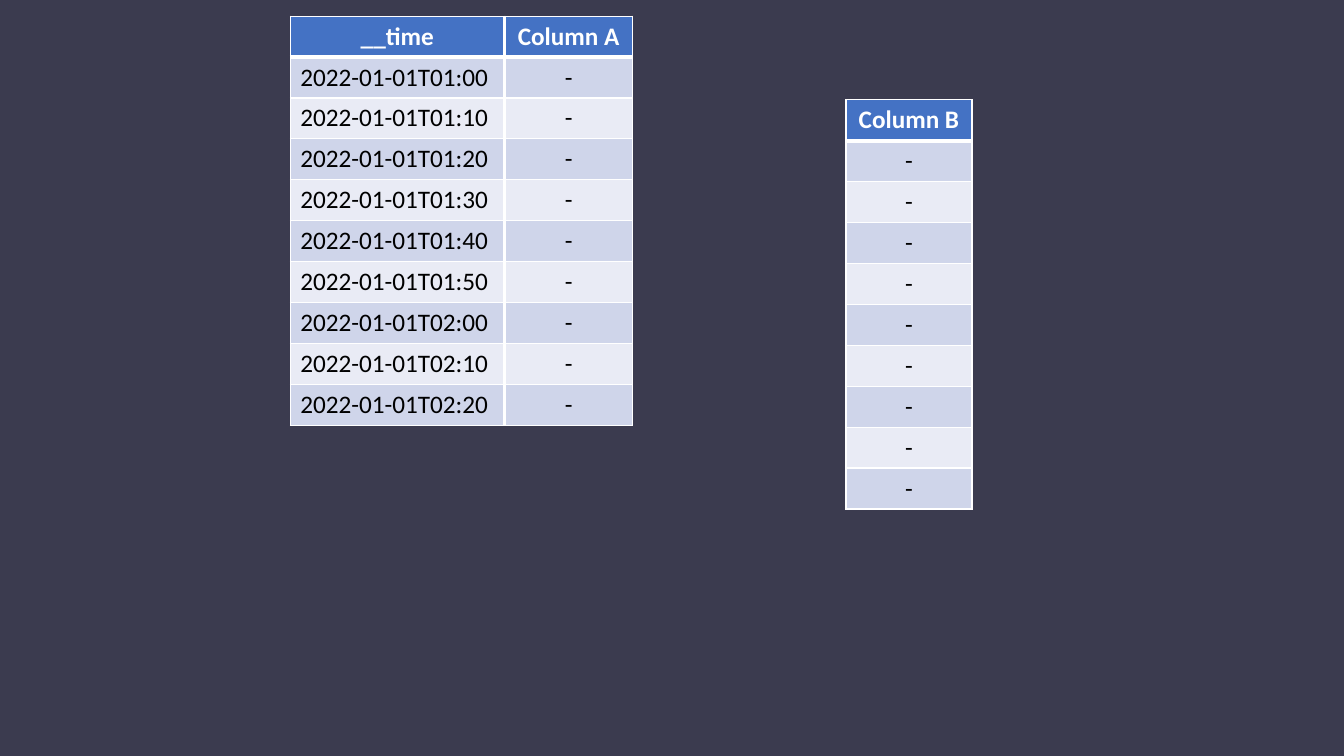
from dataclasses import dataclass

from lxml.etree import SubElement
from pptx import Presentation
from pptx.dml.color import RGBColor as RGB
from pptx.enum.shapes import MSO_SHAPE as Preset
from pptx.enum.text import PP_ALIGN as Align
from pptx.oxml.ns import qn
from pptx.slide import Slide
from pptx.table import _Cell as Cell
from pptx.util import Inches, Pt


@dataclass(frozen=True)
class Theme:
    backdrop: RGB = RGB.from_string("3B3B4F")
    header: RGB = RGB.from_string("4472C4")
    odd_row: RGB = RGB.from_string("CFD5EA")
    even_row: RGB = RGB.from_string("E9EBF5")
    header_text: RGB = RGB.from_string("FFFFFF")
    body_text: RGB = RGB.from_string("000000")
    border: str = "FFFFFF"
    thin: Pt = Pt(1)
    thick: Pt = Pt(3)
    font: str = "Calibri"
    size: Pt = Pt(18)


@dataclass(frozen=True)
class DataColumn:
    heading: str
    values: list[str]
    left: float
    top: float
    width: float
    body_align: Align = Align.CENTER


THEME = Theme()
COLUMN_HEIGHT = 4.06
MINUTES = range(60, 150, 10)
TIMES = [f"2022-01-01T{m // 60:02}:{m % 60:02}" for m in MINUTES]
BLANKS = ["-"] * len(TIMES)
COLUMNS = [
    DataColumn("__time", TIMES, 2.88, 0.16, 2.12, Align.LEFT),
    DataColumn("Column A", BLANKS, 5.01, 0.16, 1.26),
    DataColumn("Column B", BLANKS, 8.39, 0.99, 1.25),
]


def draw_backdrop(slide: Slide, width: int, height: int) -> None:
    backdrop = slide.shapes.add_shape(Preset.RECTANGLE, 0, 0, width, height)
    backdrop.shadow.inherit = False
    backdrop.fill.solid()
    backdrop.fill.fore_color.rgb = THEME.backdrop
    backdrop.line.fill.background()


def set_borders(cell: Cell, top: int, bottom: int) -> None:
    """Border all four sides; must run before the cell gets its fill."""
    properties = cell._tc.get_or_add_tcPr()
    widths = {"L": THEME.thin, "R": THEME.thin, "T": top, "B": bottom}
    for side, width in widths.items():
        line = SubElement(properties, qn(f"a:ln{side}"), w=str(int(width)))
        fill = SubElement(line, qn("a:solidFill"))
        SubElement(fill, qn("a:srgbClr"), val=THEME.border)


def fill_cell(cell: Cell, text: str, row: int, body_align: Align) -> None:
    is_header = row == 0
    set_borders(
        cell,
        top=THEME.thick if row == 1 else THEME.thin,
        bottom=THEME.thick if is_header else THEME.thin,
    )
    band = THEME.odd_row if row % 2 else THEME.even_row
    cell.fill.solid()
    cell.fill.fore_color.rgb = THEME.header if is_header else band

    paragraph = cell.text_frame.paragraphs[0]
    paragraph.alignment = Align.CENTER if is_header else body_align
    run = paragraph.add_run()
    run.text = text
    font_format = {"name": THEME.font, "size": THEME.size, "bold": is_header}
    for attribute, value in font_format.items():
        setattr(run.font, attribute, value)
    run.font.color.rgb = THEME.header_text if is_header else THEME.body_text


def draw_column(slide: Slide, column: DataColumn) -> None:
    entries = [column.heading, *column.values]
    table = slide.shapes.add_table(
        len(entries), 1,
        Inches(column.left), Inches(column.top),
        Inches(column.width), Inches(COLUMN_HEIGHT),
    ).table
    for row, entry in enumerate(entries):
        fill_cell(table.cell(row, 0), entry, row, column.body_align)


def main() -> None:
    deck = Presentation()
    deck.slide_width, deck.slide_height = Inches(13.33), Inches(7.5)
    slide = deck.slides.add_slide(deck.slide_layouts[6])
    draw_backdrop(slide, deck.slide_width, deck.slide_height)
    for column in COLUMNS:
        draw_column(slide, column)
    deck.save("out.pptx")


if __name__ == "__main__":
    main()
